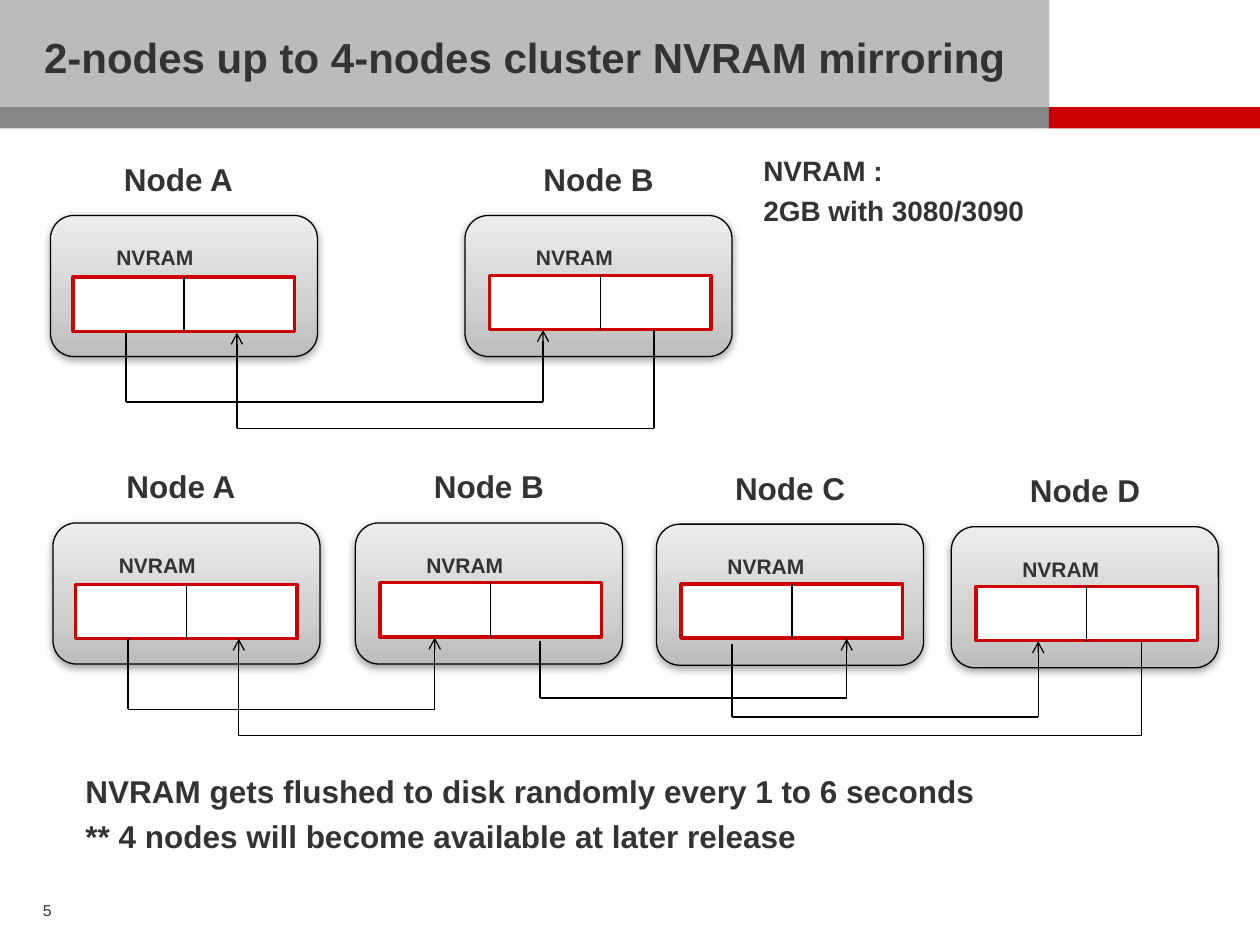
from itertools import pairwise

from lxml.etree import SubElement
from pptx import Presentation
from pptx.dml.color import RGBColor as RGB
from pptx.enum.shapes import MSO_CONNECTOR as LINE, MSO_SHAPE as SHAPE
from pptx.enum.text import MSO_ANCHOR as ANCHOR, MSO_AUTO_SIZE as FIT, PP_ALIGN as ALIGN
from pptx.oxml import parse_xml
from pptx.oxml.ns import nsdecls, qn
from pptx.util import Inches, Pt

INK = RGB(0x33, 0x33, 0x33)
BLACK = RGB(0, 0, 0)
WHITE = RGB(0xFF, 0xFF, 0xFF)
RED = RGB(0xCC, 0, 0)
SILVER = RGB(0xBB, 0xBB, 0xBB)
GREY = RGB(0x86, 0x86, 0x86)
NODE_STOPS = (
    (0, RGB(0xBC, 0xBC, 0xBC)),
    (35, RGB(0xD0, 0xD0, 0xD0)),
    (100, RGB(0xED, 0xED, 0xED)),
)
COLUMNS, ROWS = 100, 75


class Deck:
    """Draws styled elements on a slide measured in grid columns and rows."""

    font = "Arial"

    def __init__(self):
        self.prs = Presentation()
        self.prs.slide_width, self.prs.slide_height = Inches(10), Inches(7.5)
        self.slide = self.prs.slides.add_slide(self.prs.slide_layouts[5])
        self.shapes = self.slide.shapes

    def grid(self, column, row):
        return (
            round(self.prs.slide_width * column / COLUMNS),
            round(self.prs.slide_height * row / ROWS),
        )

    def area(self, left, top, width, height):
        return *self.grid(left, top), *self.grid(width, height)

    def fill_frame(self, frame, lines, size, bold=True, align=ALIGN.LEFT, spacing=0.23):
        frame.word_wrap = True
        for index, words in enumerate(lines):
            paragraph = frame.add_paragraph() if index else frame.paragraphs[0]
            paragraph.alignment = align
            paragraph.space_before = Pt(round(size * spacing, 1))
            run = paragraph.add_run()
            run.text = words
            run.font.name, run.font.size, run.font.bold = self.font, Pt(size), bold
            run.font.color.rgb = INK

    def title(self, words, *area):
        title = self.shapes.title
        title.left, title.top, title.width, title.height = self.area(*area)
        frame = title.text_frame
        frame.auto_size = FIT.NONE
        frame.vertical_anchor = ANCHOR.MIDDLE
        frame.margin_top = frame.margin_bottom = 0
        self.fill_frame(frame, [words], 24, spacing=0)
        frame.paragraphs[0].line_spacing = 0.9
        title.element.getparent().append(title.element)

    def text(self, lines, size, *area):
        self.fill_frame(self.shapes.add_textbox(*self.area(*area)).text_frame, lines, size)

    def page_number(self, number, *area):
        frame = self.shapes.add_textbox(*self.area(*area)).text_frame
        frame.margin_left = frame.margin_right = frame.margin_top = frame.margin_bottom = 0
        self.fill_frame(frame, [number], 9, bold=False, align=ALIGN.RIGHT, spacing=0)

    def block(self, fill, *area, kind=SHAPE.RECTANGLE, border=None, weight=0.75):
        block = self.shapes.add_shape(kind, *self.area(*area))
        block.shadow.inherit = False
        block.fill.solid()
        block.fill.fore_color.rgb = fill
        if border is None:
            block.line.fill.background()
        else:
            block.line.color.rgb, block.line.width = border, Pt(weight)
        return block

    def shaded_block(self, *area):
        block = self.block(WHITE, *area, kind=SHAPE.ROUNDED_RECTANGLE, border=BLACK)
        properties = block.element.spPr
        stops = "".join(
            f'<a:gs pos="{share * 1000}"><a:srgbClr val="{color}"/></a:gs>'
            for share, color in NODE_STOPS
        )
        gradient = parse_xml(
            f'<a:gradFill {nsdecls("a")} rotWithShape="1"><a:gsLst>{stops}</a:gsLst>'
            '<a:lin ang="16200000" scaled="1"/></a:gradFill>'
        )
        properties.replace(properties.find(qn("a:solidFill")), gradient)
        shadow = parse_xml(
            f'<a:outerShdw {nsdecls("a")} blurRad="{Pt(5)}" dist="{Pt(1.6)}" '
            'dir="5400000" rotWithShape="0"><a:srgbClr val="000000">'
            '<a:alpha val="38000"/></a:srgbClr></a:outerShdw>'
        )
        properties.find(qn("a:effectLst")).append(shadow)

    def line(self, start, end, arrow=False):
        line = self.shapes.add_connector(LINE.STRAIGHT, *self.grid(*start), *self.grid(*end))
        line.line.color.rgb, line.line.width = BLACK, Pt(0.75)
        properties = line.element.spPr
        if arrow:
            SubElement(properties.find(qn("a:ln")), qn("a:tailEnd"), type="arrow")
        SubElement(properties, qn("a:effectLst"))

    def node(self, name, left, top, label_inset=5.3, bar_inset=1.95, bar_drop=4.75):
        bar_left, bar_top = left + bar_inset, top + bar_drop
        middle = bar_left + 8.8
        self.shaded_block(left, top, 21.2, 11.2)
        self.block(WHITE, bar_left, bar_top, 17.6, 4.3, border=RED, weight=2)
        self.line((middle, bar_top), (middle, bar_top + 4.3))
        self.text(["NVRAM"], 12, left + label_inset - 0.65, top + 1.85, 17.5, 3)
        self.text([name], 18, left + label_inset - 0.05, top - 4.9, 17.5, 4)

    def mirror(self, source, lane, target):
        corners = [source, (source[0], lane), (target[0], lane), target]
        for start, end in pairwise(corners):
            self.line(start, end, arrow=end == target)


def main():
    deck = Deck()
    deck.block(SILVER, 0, 0, 83.3, 8.5)
    deck.block(GREY, 0, 8.5, 83.3, 1.7)
    deck.block(RED, 83.25, 8.5, 16.75, 1.7)
    deck.page_number("5", 1.2, 71.5, 2.9, 1.3)
    deck.title("2-nodes up to 4-nodes cluster NVRAM mirroring", 2.5, 1.1, 80.8, 7.3)

    first_node = {"label_inset": 4.9, "bar_inset": 1.8, "bar_drop": 4.9}
    deck.node("Node A", 4, 17.1, **first_node)
    deck.node("Node B", 36.9, 17.1)
    deck.node("Node A", 4.2, 41.5, **first_node)
    for name, left, top in (
        ("Node B", 28.2, 41.5),
        ("Node C", 52.1, 41.6),
        ("Node D", 75.5, 41.8),
    ):
        deck.node(name, left, top)

    for source, lane, target in (
        ((10, 26.4), 31.9, (43.1, 26.2)),
        ((51.9, 26.2), 34, (18.8, 26.4)),
        ((10.15, 50.7), 56.3, (34.5, 50.6)),
        ((90.6, 50.9), 58.4, (18.95, 50.7)),
        ((42.85, 50.9), 55.4, (67.2, 50.7)),
        ((58.1, 51.1), 56.9, (82.4, 50.9)),
    ):
        deck.mirror(source, lane, target)

    deck.text(
        [
            "NVRAM gets flushed to disk randomly every 1 to 6 seconds",
            "** 4 nodes will become available at later release",
        ],
        18, 5.8, 60.8, 72.9, 7.7,
    )
    deck.text(["NVRAM :", "2GB with 3080/3090"], 16, 59.6, 11.7, 40.4, 6.9)
    deck.prs.save("out.pptx")


if __name__ == "__main__":
    main()
